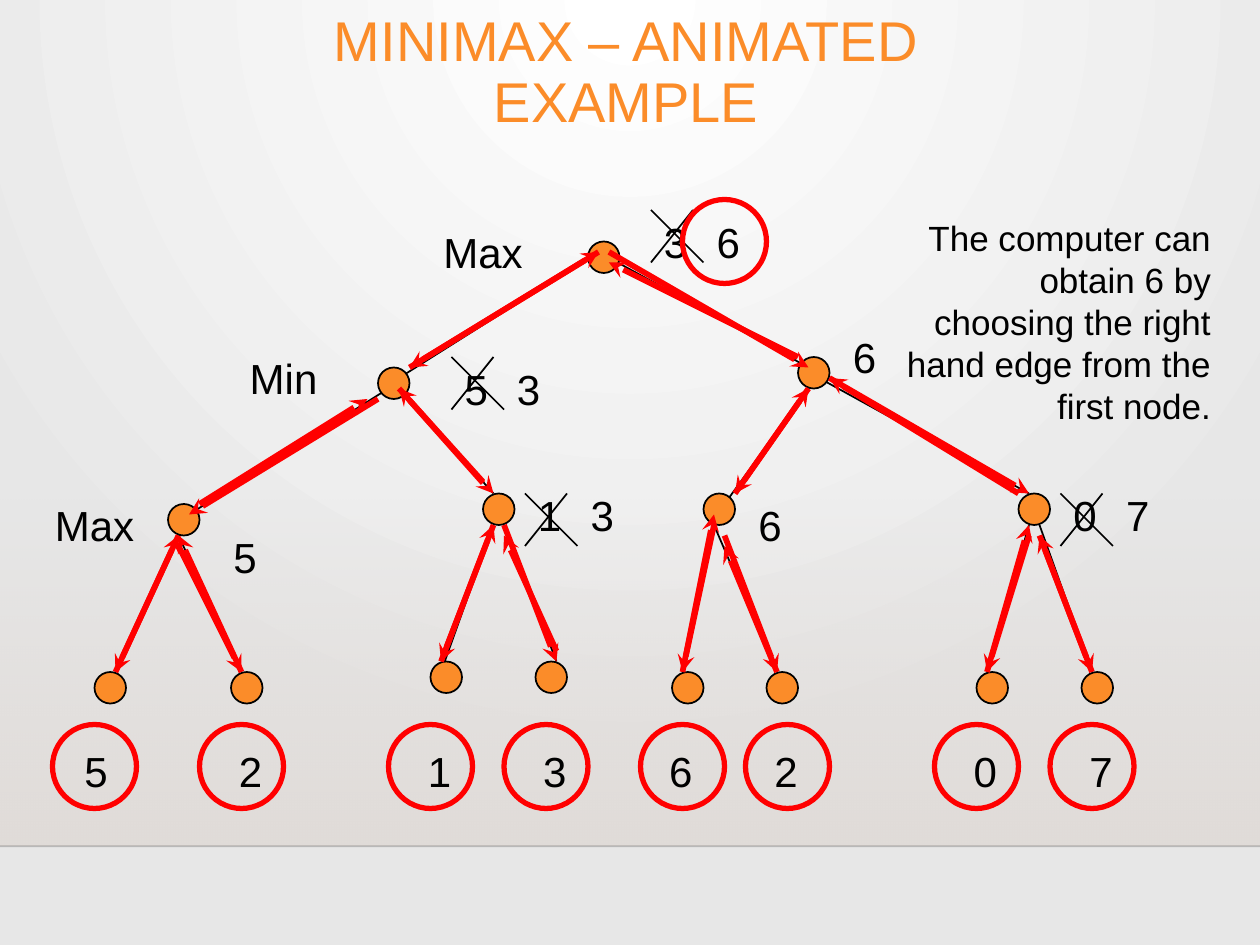
"""Build the slide that walks through a minimax game tree."""
from dataclasses import dataclass

from lxml.etree import SubElement
from pptx import Presentation
from pptx.dml.color import RGBColor
from pptx.enum.shapes import MSO_CONNECTOR, MSO_SHAPE
from pptx.enum.text import MSO_ANCHOR, MSO_AUTO_SIZE, PP_ALIGN
from pptx.oxml import parse_xml
from pptx.oxml.ns import nsdecls, qn
from pptx.util import Inches, Pt


@dataclass(frozen=True)
class Theme:
    font: str = "Arial"
    accent: str = "FB8C29"
    ink: str = "000000"
    trace: str = "FF0000"
    paper: tuple = ("FFFFFF", "E7E7E7")
    floor: str = "DFD9D5"
    title_size: int = 32
    label_size: int = 24
    note_size: int = 20
    thin: float = 1
    ring: float = 3
    arrow: float = 3.25


EDGES = [
    (57, 24, 38, 36), (57, 24, 77, 35), (37, 37, 18, 49), (77, 37, 69, 48),
    (78, 36, 98, 47), (38, 37, 47, 47), (17, 51, 11, 64), (17, 51, 23, 64),
    (47, 50, 42, 64), (48, 50, 53, 63), (68, 50, 65, 64), (68, 50, 74, 64),
    (98, 50, 94, 64), (99, 50, 104, 64),
]
INNER_NODES = [(56, 23), (76, 34), (36, 35), (97, 47), (67, 47), (46, 47), (16, 48)]
LEAVES = [
    ("5", 9, 64, 7.3, 5), ("2", 22, 64, 22, 19), ("1", 41, 63, 40, 37),
    ("3", 51, 63, 51, 48), ("6", 64, 64, 63, 61), ("2", 73, 64, 73, 71),
    ("0", 93, 64, 92, 89), ("7", 103, 64, 103, 100),
]
DESCENTS = [
    (57, 24, 39, 35), (36, 38, 18, 49), (17, 51, 11, 64), (17, 52, 23, 64),
    (77, 37, 70, 47), (58, 24, 77, 35), (38, 37, 47, 47), (79, 36, 98, 47),
    (48, 50, 53, 63), (99, 51, 104, 64), (69, 51, 74, 64), (98, 51, 94, 64),
    (68, 50, 65, 64), (47, 50, 42, 63),
]
RETURNS = [
    (11, 64, 17, 51), (39, 35, 57, 24), (23, 64, 17, 51), (19, 48, 35, 38),
    (94, 64, 98, 50), (65, 64, 68, 49), (42, 63, 47, 50), (70, 47, 77, 37),
    (46, 46, 38, 37), (104, 64, 99, 51), (74, 64, 69, 52), (53, 62, 48, 51),
    (97, 47, 79, 36), (76, 34, 58, 25),
]
LEVELS = [("Max", 41, 21, 10), ("Min", 22.5, 33, 9), ("Max", 4, 47, 10)]
VALUES = [
    ("5", 21, 50), ("5", 43, 34), ("6", 67, 20), ("7", 106, 46), ("0", 101, 46),
    ("6", 80, 31), ("6", 71, 47), ("3", 62, 20), ("3", 48, 34), ("3", 55, 46),
    ("1", 50, 46),
]
CROSSES = [(50, 47), (43, 34), (62, 20), (101, 47)]


def grid(*steps):
    """Turn twelfths of an inch into lengths."""
    return [Inches(step / 12) for step in steps]


def set_opacity(color_parent, percent):
    """Make the colour inside an element partly transparent."""
    color = color_parent.find(".//" + qn("a:srgbClr"))
    SubElement(color, qn("a:alpha")).set("val", str(percent * 1000))


class TreePage:
    """Holds the theme and the current slide, and draws on it."""

    def __init__(self, page, theme):
        self.page, self.theme = page, theme

    def gradient(self, fill, colors):
        fill.gradient()
        for stop, color in zip(fill.gradient_stops, colors):
            stop.color.rgb = RGBColor.from_string(color)

    def background(self):
        self.gradient(self.page.background.fill, self.theme.paper)
        linear = self.page.background._cSld.find(".//" + qn("a:lin"))
        linear.getparent().replace(linear, parse_xml(
            f'<a:path {nsdecls("a")} path="circle">'
            '<a:fillToRect l="43000" t="0" r="43000" b="100000"/></a:path>'))

    def floor(self):
        shape = self.page.shapes.add_shape(
            MSO_SHAPE.RECTANGLE, 0, Inches(3.96), Inches(10), Inches(2.75))
        shape.shadow.inherit = False
        shape.line.fill.background()
        self.gradient(shape.fill, (self.theme.floor, self.theme.floor))
        shape.fill.gradient_angle = 270
        for stop, percent in zip(shape._element.iter(qn("a:gs")), (0, 80)):
            set_opacity(stop, percent)
        horizon = self.line(0, 80.6, 120, 80.6)
        set_opacity(horizon.line._get_or_add_ln(), 20)

    def line(self, x1, y1, x2, y2):
        connector = self.page.shapes.add_connector(
            MSO_CONNECTOR.STRAIGHT, *grid(x1, y1, x2, y2))
        connector.line.color.rgb = RGBColor.from_string(self.theme.ink)
        connector.line.width = Pt(self.theme.thin)
        SubElement(connector._element.spPr, qn("a:effectLst"))
        return connector

    def arrow(self, x1, y1, x2, y2):
        line = self.line(x1, y1, x2, y2).line
        line.color.rgb = RGBColor.from_string(self.theme.trace)
        line.width = Pt(self.theme.arrow)
        SubElement(line._get_or_add_ln(), qn("a:tailEnd")).set("type", "stealth")

    def circle(self, x, y, size, color, width):
        shape = self.page.shapes.add_shape(MSO_SHAPE.OVAL, *grid(x, y, size, size))
        shape.shadow.inherit = False
        shape.fill.background()
        shape.line.color.rgb = RGBColor.from_string(color)
        shape.line.width = Pt(width)
        return shape

    def node(self, x, y):
        shape = self.circle(x, y, 3, self.theme.ink, self.theme.thin)
        shape.fill.solid()
        shape.fill.fore_color.rgb = RGBColor.from_string(self.theme.accent)

    def ring(self, x, y):
        self.circle(x, y, 8, self.theme.trace, self.theme.ring)

    def cross(self, x, y):
        self.line(x, y + 5, x + 4, y)
        self.line(x, y, x + 5, y + 5)

    def text(self, words, area, size, color=None, align=PP_ALIGN.CENTER, wrap=True):
        frame = self.page.shapes.add_textbox(*area).text_frame
        frame.word_wrap = wrap
        para = frame.paragraphs[0]
        para.alignment = align
        span = para.add_run()
        span.text = words
        span.font.name, span.font.size = self.theme.font, Pt(size)
        span.font.color.rgb = RGBColor.from_string(color or self.theme.ink)
        return frame

    def title(self, words):
        area = Inches(1.55), Inches(0.01), Inches(6.84), Inches(1.15)
        frame = self.text(words, area, self.theme.title_size, self.theme.accent)
        frame.vertical_anchor = MSO_ANCHOR.MIDDLE
        frame.paragraphs[0].line_spacing = 0.9

    def label(self, words, x, y, width=4.7):
        frame = self.text(words, grid(x, y, width, 6), self.theme.label_size, wrap=False)
        frame.auto_size = MSO_AUTO_SIZE.SHAPE_TO_FIT_TEXT

    def leaf_value(self, words, x):
        frame = self.text(words, grid(x, 71, 3.7, 4.8), self.theme.label_size)
        frame.margin_left = frame.margin_right = 0
        frame.margin_top = frame.margin_bottom = 0

    def note(self, words):
        area = Inches(7.08), Inches(1.67), Inches(2.63), Inches(1.77)
        frame = self.text(words, area, self.theme.note_size, align=PP_ALIGN.RIGHT)
        frame.auto_size = MSO_AUTO_SIZE.SHAPE_TO_FIT_TEXT


def main():
    deck = Presentation()
    deck.slide_width, deck.slide_height = Inches(10), Inches(7.5)
    tree = TreePage(deck.slides.add_slide(deck.slide_layouts[6]), Theme())
    tree.background()
    tree.floor()
    tree.title("MINIMAX – ANIMATED EXAMPLE")
    for edge in EDGES:
        tree.line(*edge)
    for spot in INNER_NODES:
        tree.node(*spot)
    for value, node_x, node_y, value_x, ring_x in LEAVES:
        tree.node(node_x, node_y)
        tree.leaf_value(value, value_x)
        tree.ring(ring_x, 69)
    for step in DESCENTS + RETURNS:
        tree.arrow(*step)
    for label in LEVELS + VALUES:
        tree.label(*label)
    for spot in CROSSES:
        tree.cross(*spot)
    tree.note("The computer can obtain 6 by choosing the right hand edge from the first node.")
    tree.ring(65, 19)
    deck.save("out.pptx")


if __name__ == "__main__":
    main()
